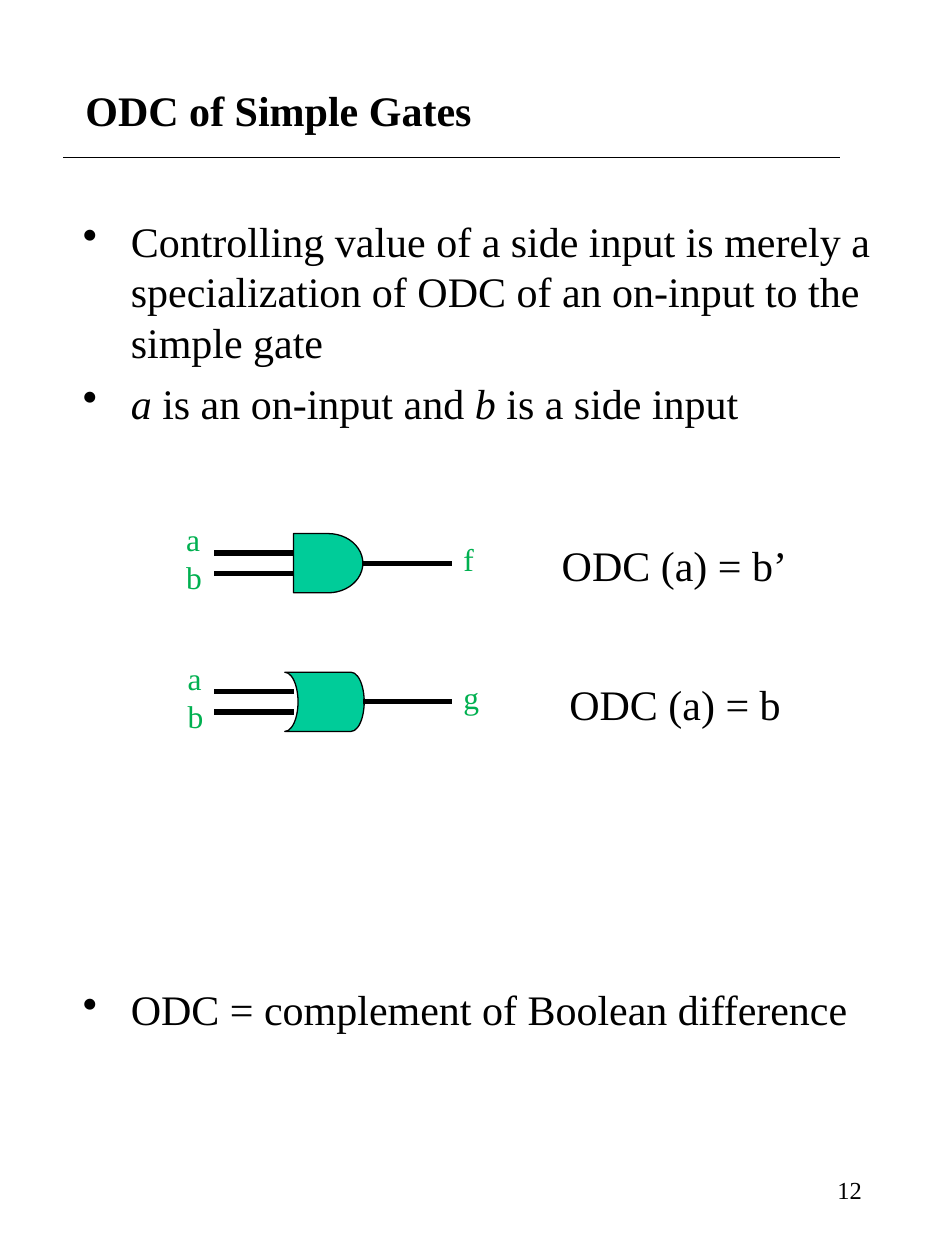
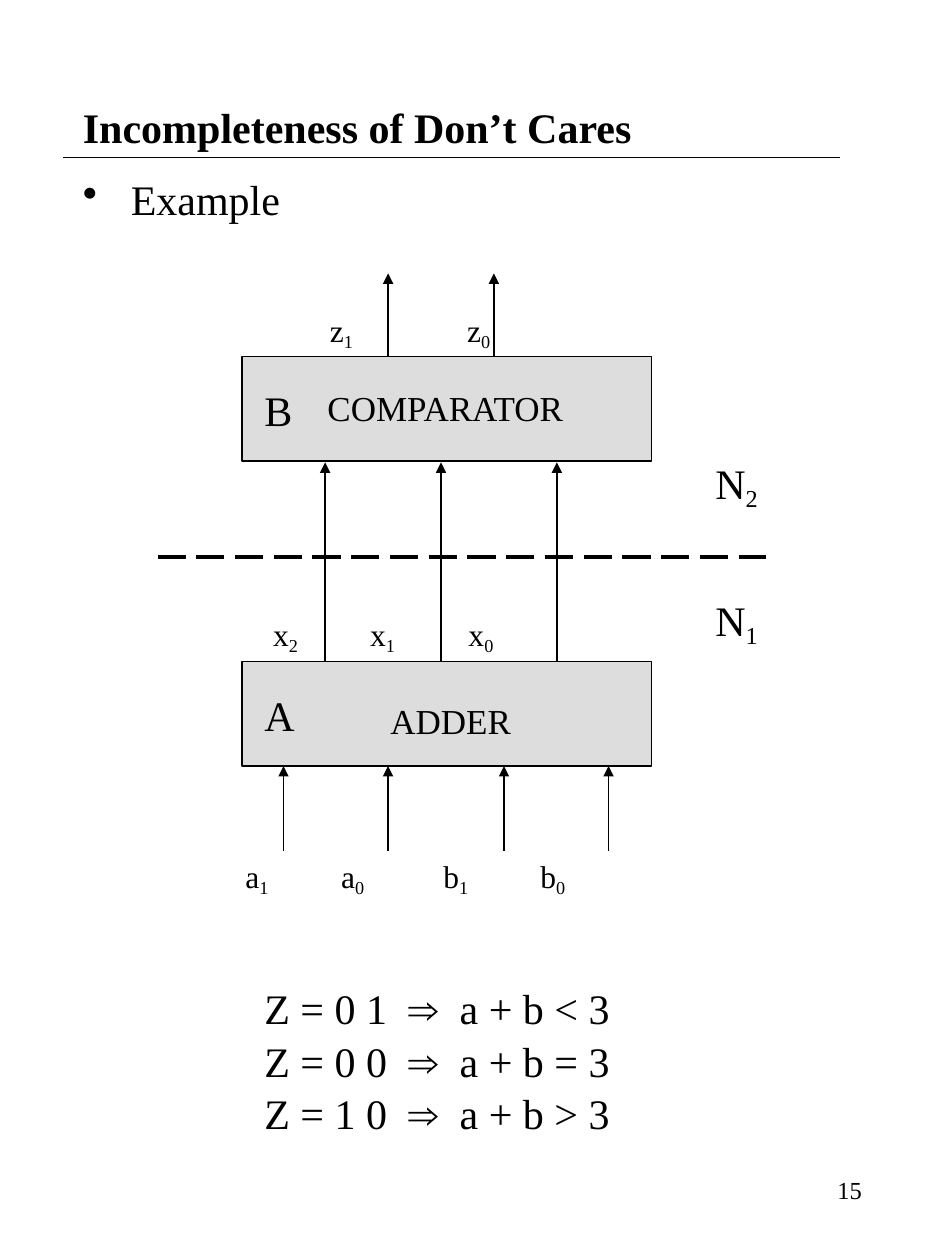
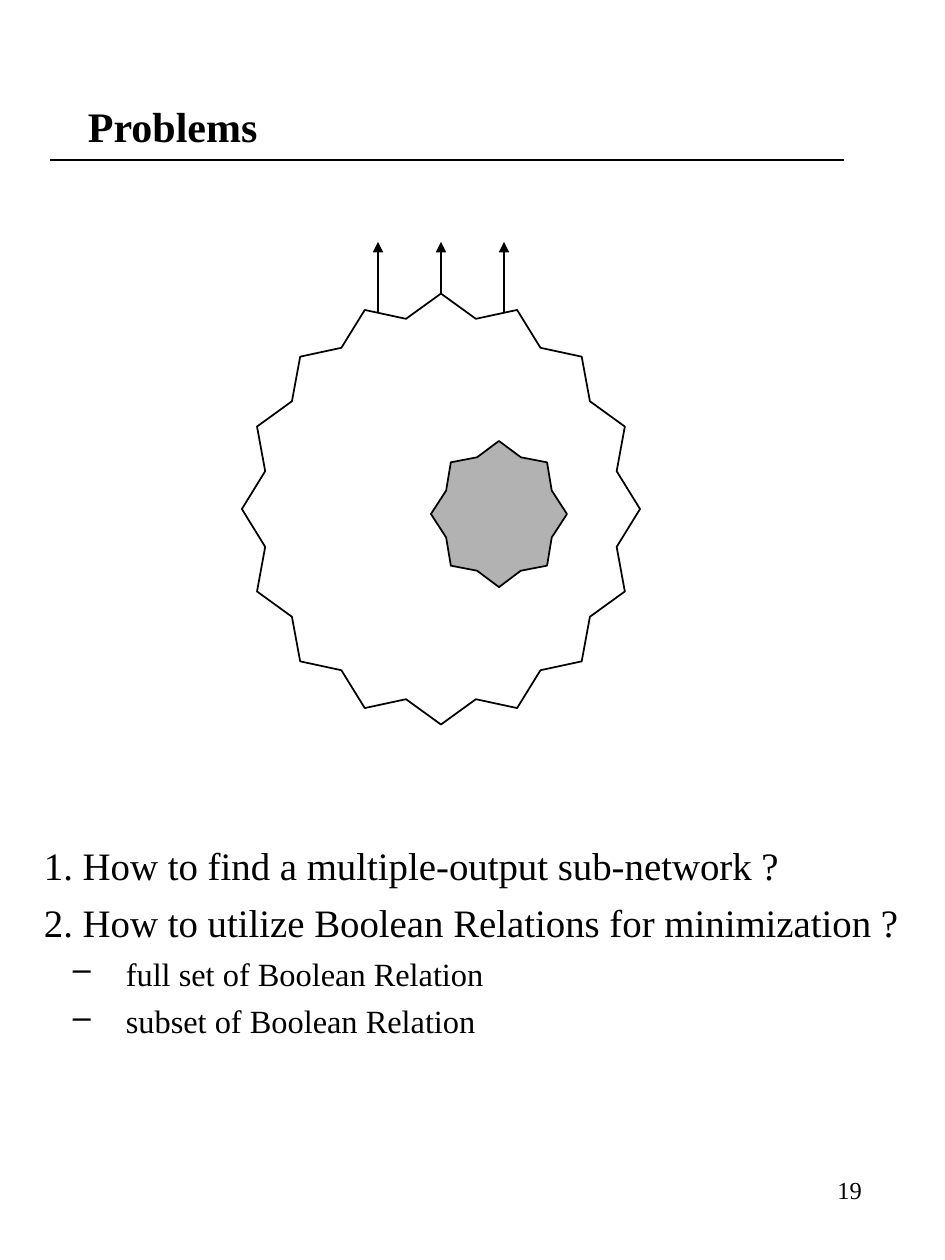
from math import cos, pi, sin

from lxml import etree
from pptx import Presentation
from pptx.dml.color import RGBColor
from pptx.enum.dml import MSO_LINE
from pptx.enum.shapes import MSO_CONNECTOR, MSO_SHAPE
from pptx.enum.text import MSO_ANCHOR, PP_ALIGN
from pptx.oxml.ns import qn
from pptx.util import Inches, Pt

STRAIGHT = MSO_CONNECTOR.STRAIGHT
LONG_DASH = MSO_LINE.LONG_DASH
RECTANGLE = MSO_SHAPE.RECTANGLE
AND_GATE = MSO_SHAPE.FLOWCHART_DELAY
OR_GATE = MSO_SHAPE.FLOWCHART_STORED_DATA
MIDDLE, TOP = MSO_ANCHOR.MIDDLE, MSO_ANCHOR.TOP
LEFT, RIGHT = PP_ALIGN.LEFT, PP_ALIGN.RIGHT

BLACK = RGBColor(0x00, 0x00, 0x00)
WHITE = RGBColor(0xFF, 0xFF, 0xFF)
GATE_GREEN = RGBColor(0x00, 0xCC, 0x99)
LABEL_GREEN = RGBColor(0x00, 0xB0, 0x50)
BLOCK_GRAY = RGBColor(0xDD, 0xDD, 0xDD)
SUBNETWORK_GRAY = RGBColor(0xB2, 0xB2, 0xB2)
SERIF, SANS = "Times New Roman", "Arial"

SLIDE_WIDTH, SLIDE_HEIGHT = 7.5, 10
PAGE_NUMBER_BOX = (5.38, 9.11, 1.56, 0.67)
BULLET_INDENT, DASH_INDENT = (0.38, 0.38), (0.65, 0.42)

FRAMES = [
    {"title": "ODC of Simple Gates", "box": (0.58, 0.33, 6.37, 1.08), "rule": (0.5, 6.67, 1.25), "page": "12"},
    {"title": "Incompleteness of Don’t Cares", "box": (0.56, 0.42, 6.37, 1.17), "rule": (0.5, 6.67, 1.25), "page": "15"},
    {"title": "Problems", "box": (0.6, 0.4, 6.37, 1.2), "rule": (0.4, 6.7, 1.27), "page": "19"},
]

ODC_POINTS = [
    ["Controlling value of a side input is merely a specialization of ODC of an on-input to the simple gate"],
    [("a", {"italic": True}), " is an on-input and ", ("b", {"italic": True}), " is a side input"],
]
ODC_SUMMARY = "ODC = complement of Boolean difference"
GATES = [
    {"shape": AND_GATE, "left": 2.33, "width": 0.55, "rotation": 0, "center": 4.47,
     "output": "f", "odc": "ODC (a) = b’", "input_left": 1.38, "odc_left": 4.36},
    {"shape": OR_GATE, "left": 2.26, "width": 0.63, "rotation": 180, "center": 5.57,
     "output": "g", "odc": "ODC (a) = b", "input_left": 1.39, "odc_left": 4.42},
]
GATE_HEIGHT, INPUT_OFFSET = 0.47, 0.08
WIRE_START, GATE_FRONT, GATE_BACK, WIRE_END = 1.7, 2.33, 2.88, 3.59

BLOCK_LEFT, BLOCK_WIDTH, BLOCK_HEIGHT = 1.92, 3.25, 0.83
BLOCKS = [
    {"top": 2.83, "letter": "B", "name": "COMPARATOR", "name_at": (2.5, 3.02, 2.25, 0.44)},
    {"top": 5.25, "letter": "A", "name": "ADDER", "name_at": (3, 5.5, 1.4, 0.44)},
]
SIGNALS = [
    {"arrows": [3.08, 3.92], "start": 2.83, "end": 2.17, "label_top": 2.42,
     "labels": [("z", "1", 2.52), ("z", "0", 3.61)]},
    {"arrows": [2.58, 3.5, 4.42], "start": 5.25, "end": 3.67, "label_top": 4.83,
     "labels": [("x", "2", 2.07), ("x", "1", 2.84), ("x", "0", 3.62)]},
    {"arrows": [2.25, 3.08, 4, 4.83], "start": 6.75, "end": 6.08, "label_top": 6.75,
     "labels": [("a", "1", 1.85), ("a", "0", 2.61), ("b", "1", 3.42), ("b", "0", 4.19)]},
]
NETWORKS = [("N", "2", 3.58), ("N", "1", 4.67)]
CUT_LINE = (1.25, 4.42, 6.08, 4.42)
OUTCOMES = [("Z = 0 1", "a + b < 3"), ("Z = 0 0", "a + b = 3"), ("Z = 1 0", "a + b > 3")]
OUTCOME_TOP, OUTCOME_PITCH, OUTCOME_TABS = 7.75, 0.417, (1.14, 1.55)

OUTPUT_ARROWS = [3, 3.5, 4]
CLOUDS = [
    {"center": (3.5, 4.04), "radii": (1.58, 1.71), "tips": 16, "valley": 0.9, "fill": WHITE},
    {"center": (3.96, 4.08), "radii": (0.54, 0.58), "tips": 8, "valley": 0.84, "fill": SUBNETWORK_GRAY},
]
QUESTIONS = [
    "1. How to find a multiple-output sub-network ?",
    "2. How to utilize Boolean Relations for minimization ?",
]
RELATIONS = ["full set of Boolean Relation", "subset of Boolean Relation"]


def inches(values):
    return [Inches(value) for value in values]


def add_runs(paragraph, runs, size, color=BLACK, bold=False):
    for item in runs:
        text, changes = (item, {}) if isinstance(item, str) else item
        run = paragraph.add_run()
        run.text = text
        formats = {"name": SERIF, "size": Pt(size), "bold": bold} | changes
        baseline = formats.pop("baseline", None)
        for attribute, value in formats.items():
            setattr(run.font, attribute, value)
        run.font.color.rgb = color
        if baseline:
            run.font._element.set("baseline", str(baseline))


def add_bullet(paragraph, character, indents):
    margin, hanging = indents
    properties = paragraph._p.get_or_add_pPr()
    properties.set("marL", str(Inches(margin)))
    properties.set("indent", str(-Inches(hanging)))
    etree.SubElement(properties, qn("a:buChar")).set("char", character)


def add_tabs(paragraph, positions):
    tabs = etree.SubElement(paragraph._p.get_or_add_pPr(), qn("a:tabLst"))
    for position in positions:
        tab = etree.SubElement(tabs, qn("a:tab"))
        tab.set("pos", str(Inches(position)))
        tab.set("algn", "l")


def add_text(slide, box, paragraphs, size, anchor=TOP, align=LEFT, bullet=None,
             indents=BULLET_INDENT, spacing=0, tabs=(), **style):
    frame = slide.shapes.add_textbox(*inches(box)).text_frame
    frame.word_wrap = True
    frame.vertical_anchor = anchor
    for index, runs in enumerate(paragraphs):
        paragraph = frame.add_paragraph() if index else frame.paragraphs[0]
        paragraph.alignment = align
        paragraph.space_before = Pt(spacing)
        if bullet:
            add_bullet(paragraph, bullet, indents)
        if tabs:
            add_tabs(paragraph, tabs)
        add_runs(paragraph, runs, size, **style)


def add_subscripted(slide, box, letter, index, size):
    add_text(slide, box, [[letter, (index, {"baseline": -20000})]], size)


def add_line(slide, ends, width=1, arrow=False, dash=None):
    connector = slide.shapes.add_connector(STRAIGHT, *inches(ends))
    connector.line.color.rgb = BLACK
    connector.line.width = Pt(width)
    if dash:
        connector.line.dash_style = dash
    if arrow:
        etree.SubElement(connector.line._get_or_add_ln(), qn("a:tailEnd")).set("type", "triangle")
    etree.SubElement(connector._element.spPr, qn("a:effectLst"))


def paint(shape, fill, width=1):
    shape.shadow.inherit = False
    shape.fill.solid()
    shape.fill.fore_color.rgb = fill
    shape.line.color.rgb = BLACK
    shape.line.width = Pt(width)


def add_frame(slide, frame):
    left, right, height = frame["rule"]
    add_text(slide, frame["box"], [[frame["title"]]], 24, anchor=MIDDLE, bold=True)
    add_line(slide, (left, height, right, height))
    add_text(slide, PAGE_NUMBER_BOX, [[frame["page"]]], 14, anchor=MIDDLE, align=RIGHT)


def add_gate(slide, gate):
    center = gate["center"]
    top = center - GATE_HEIGHT / 2
    box = (gate["left"], top, gate["width"], GATE_HEIGHT)
    shape = slide.shapes.add_shape(gate["shape"], *inches(box))
    shape.rotation = gate["rotation"]
    paint(shape, GATE_GREEN, 0.75)
    add_line(slide, (GATE_BACK, center, WIRE_END, center), 3)
    for height in (center - INPUT_OFFSET, center + INPUT_OFFSET):
        add_line(slide, (GATE_FRONT, height, WIRE_START, height), 3)
    add_text(slide, (gate["input_left"], center - 0.39, 0.4, 0.7), [["a"], ["b"]], 18, color=LABEL_GREEN)
    add_text(slide, (3.58, top, 0.4, 0.4), [[gate["output"]]], 18, color=LABEL_GREEN)
    add_text(slide, (gate["odc_left"], top, 2.13, 0.5), [[gate["odc"]]], 24)


def add_cloud(slide, cloud):
    (center_x, center_y), (radius_x, radius_y) = cloud["center"], cloud["radii"]
    points = []
    for step in range(2 * cloud["tips"]):
        angle = pi * step / cloud["tips"]
        reach = cloud["valley"] if step % 2 else 1
        points.append(inches((center_x - radius_x * reach * cos(angle),
                              center_y + radius_y * reach * sin(angle))))
    builder = slide.shapes.build_freeform(*points[0])
    builder.add_line_segments(points[1:], close=True)
    paint(builder.convert_to_shape(), cloud["fill"])


def build_gates(slide):
    add_text(slide, (0.56, 1.66, 6.51, 1.9), ODC_POINTS, 24, bullet="•", spacing=6)
    for gate in GATES:
        add_gate(slide, gate)
    add_text(slide, (0.56, 7.76, 6.51, 0.5), [[ODC_SUMMARY]], 24, bullet="•")


def build_example(slide):
    add_text(slide, (0.56, 1.33, 6.37, 0.5), [["Example"]], 24, bullet="•")
    for block in BLOCKS:
        box = (BLOCK_LEFT, block["top"], BLOCK_WIDTH, BLOCK_HEIGHT)
        paint(slide.shapes.add_shape(RECTANGLE, *inches(box)), BLOCK_GRAY)
        add_text(slide, block["name_at"], [[block["name"]]], 20)
        add_text(slide, (2, block["top"] + 0.17, 0.5, 0.5), [[block["letter"]]], 24)
    for signal in SIGNALS:
        for x in signal["arrows"]:
            add_line(slide, (x, signal["start"], x, signal["end"]), arrow=True)
        for letter, index, left in signal["labels"]:
            add_subscripted(slide, (left, signal["label_top"], 0.6, 0.44), letter, index, 18)
    add_line(slide, CUT_LINE, 2, dash=LONG_DASH)
    for letter, index, top in NETWORKS:
        add_subscripted(slide, (5.58, top, 0.67, 0.54), letter, index, 24)
    for row, (code, relation) in enumerate(OUTCOMES):
        runs = [code + "\t", ("⇒", {"name": SANS}), "\t" + relation]
        box = (2, OUTCOME_TOP + row * OUTCOME_PITCH, 3.08, 0.5)
        add_text(slide, box, [runs], 24, tabs=OUTCOME_TABS)


def build_problems(slide):
    for x in OUTPUT_ARROWS:
        add_line(slide, (x, 2.83, x, 1.92), arrow=True)
    for cloud in CLOUDS:
        add_cloud(slide, cloud)
    add_text(slide, (0.25, 6.63, 7.25, 1), [[question] for question in QUESTIONS], 22.2, spacing=6)
    add_text(slide, (0.25, 7.52, 7.25, 0.8), [[relation] for relation in RELATIONS], 18.5,
             bullet="–", indents=DASH_INDENT, spacing=5)


def main():
    presentation = Presentation()
    presentation.slide_width = Inches(SLIDE_WIDTH)
    presentation.slide_height = Inches(SLIDE_HEIGHT)
    blank = presentation.slide_layouts[6]
    for frame, build in zip(FRAMES, (build_gates, build_example, build_problems)):
        slide = presentation.slides.add_slide(blank)
        add_frame(slide, frame)
        build(slide)
    presentation.save("out.pptx")


if __name__ == "__main__":
    main()
